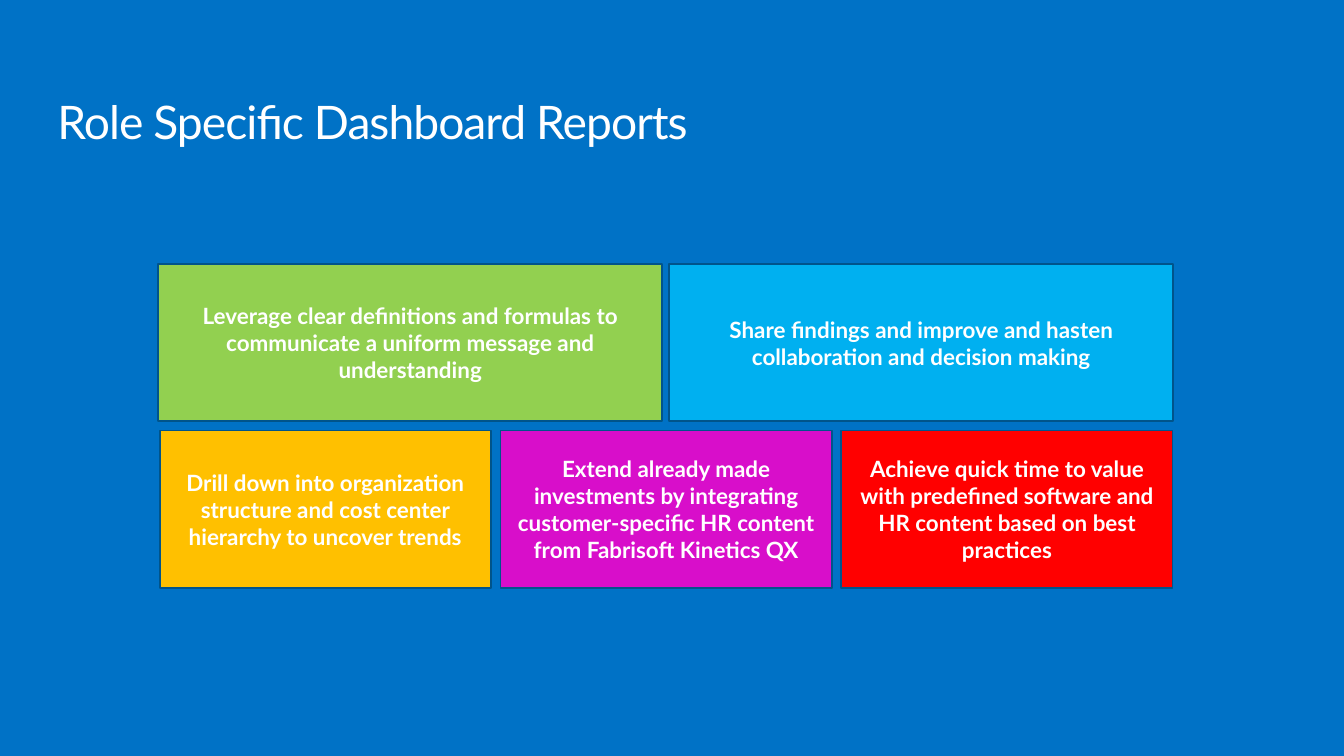
from pptx import Presentation
from pptx.dml.color import RGBColor
from pptx.enum.shapes import MSO_SHAPE as SHAPE
from pptx.enum.text import MSO_ANCHOR as ANCHOR, PP_ALIGN as ALIGN
from pptx.util import Emu, Pt

PX = 9525  # EMU per px, 96 px to the inch
WIDTH, HEIGHT = 1920, 1080
TILE_HEIGHT = 225

# Each row: left, top, tile width, gap, tiles as (fill, text)
ROWS = [
    (226, 377, 720, 10, [
        ("92D050", "Leverage clear definitions and formulas to communicate "
                   "a uniform message and understanding"),
        ("00B0F0", "Share findings and improve and hasten collaboration "
                   "and decision making"),
    ]),
    (228, 615, 473, 14, [
        ("FFC000", "Drill down into organization structure and cost center "
                   "hierarchy to uncover trends"),
        ("D80ECA", "Extend already made investments by integrating "
                   "customer-specific HR content from Fabrisoft Kinetics QX"),
        ("FF0000", "Achieve quick time to value with predefined software "
                   "and HR content based on best practices"),
    ]),
]


def px(*lengths):
    return [Emu(n * PX) for n in lengths]


def rgb(color):
    return RGBColor.from_string(color)


class Deck:
    """Holds the style and the current slide."""
    font = "Lato"
    background = "0072C6"
    text_color = "FFFFFF"
    border = "00548B"

    def __init__(self):
        self.prs = Presentation()
        self.prs.slide_width, self.prs.slide_height = px(WIDTH, HEIGHT)

    def add_slide(self):
        self.s = self.prs.slides.add_slide(self.prs.slide_layouts[6])
        fill = self.s.background.fill
        fill.solid()
        fill.fore_color.rgb = rgb(self.background)

    def run(self, p, text, size, bold=False):
        r = p.add_run()
        r.text = text
        r.font.name = self.font
        r.font.size = Pt(size)
        r.font.bold = bold
        r.font.color.rgb = rgb(self.text_color)
        return r

    def title(self, text, x, y, w, h):
        tf = self.s.shapes.add_textbox(*px(x, y, w, h)).text_frame
        tf.word_wrap = True
        tf.margin_left = tf.margin_top = tf.margin_right = tf.margin_bottom = 0
        p = tf.paragraphs[0]
        p.line_spacing = 0.9
        r = self.run(p, text, 49.5)
        r.font._element.set("spc", "-100")

    def tile(self, text, fill, x, y, w, h):
        sp = self.s.shapes.add_shape(SHAPE.RECTANGLE, *px(x, y, w, h))
        sp.shadow.inherit = False
        sp.fill.solid()
        sp.fill.fore_color.rgb = rgb(fill)
        sp.line.color.rgb = rgb(self.border)
        sp.line.width = Pt(2)
        tf = sp.text_frame
        tf.word_wrap = True
        tf.vertical_anchor = ANCHOR.MIDDLE
        p = tf.paragraphs[0]
        p.alignment = ALIGN.CENTER
        self.run(p, text, 24, bold=True)


def main():
    deck = Deck()
    deck.add_slide()
    deck.title("Role Specific Dashboard Reports", 82, 142, 1756, 144)
    for left, top, width, gap, tiles in ROWS:
        for i, (fill, text) in enumerate(tiles):
            deck.tile(text, fill, left + i * (width + gap), top, width, TILE_HEIGHT)
    deck.prs.save("out.pptx")


if __name__ == "__main__":
    main()
